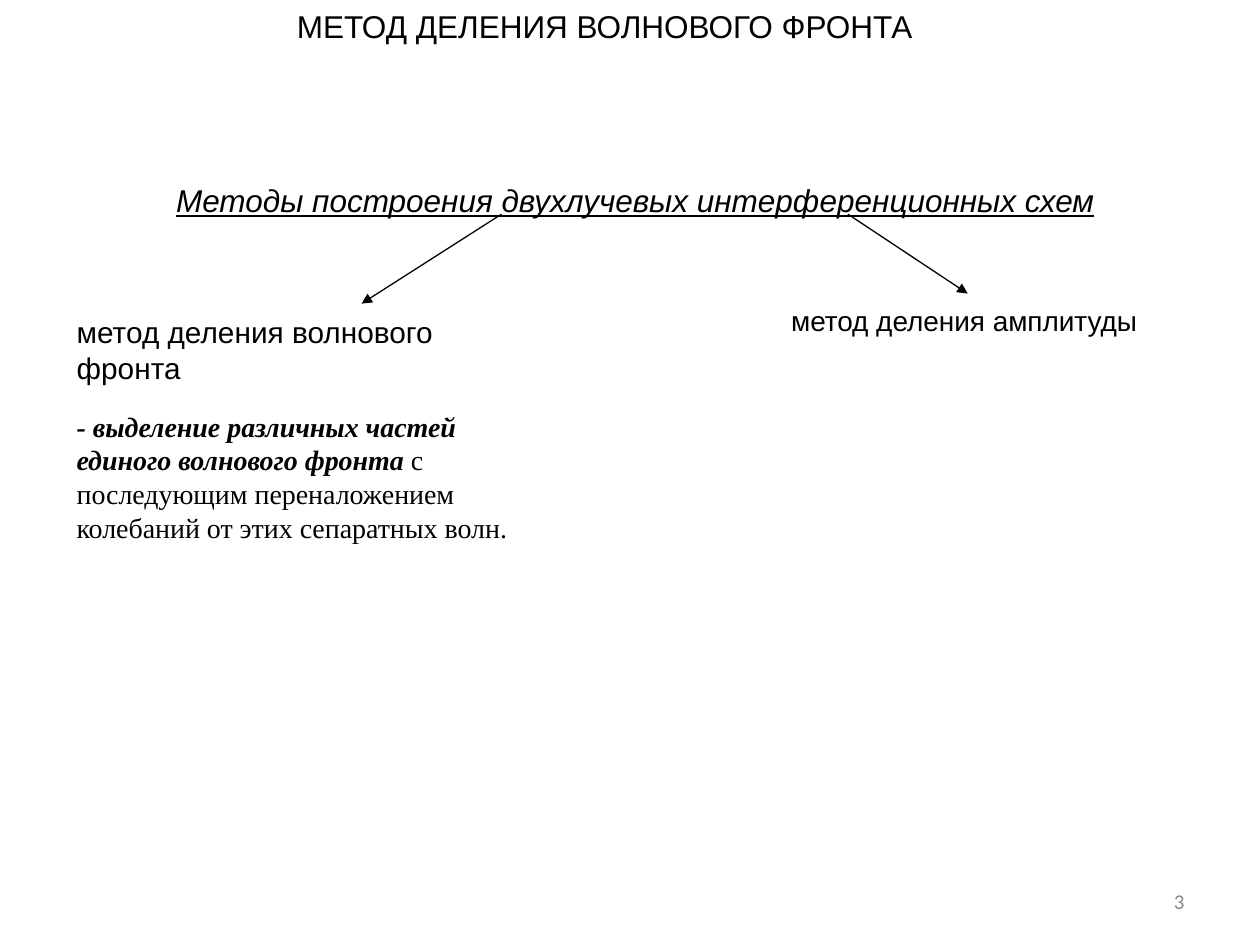
from lxml import etree
from pptx import Presentation
from pptx import util as u
from pptx.dml import color
from pptx.enum import shapes, text
from pptx.oxml import ns

BLACK, GRAY = "000000", "898989"
SANS, SERIF = "Arial", "Times New Roman"


def paint(target, hex_color):
    """Colour a font or a line."""
    target.fill.solid()
    target.fill.fore_color.rgb = color.RGBColor.from_string(hex_color)


def fill_text(shape, runs, size, font=SANS, hex_color=BLACK,
              align=text.PP_ALIGN.LEFT, anchor=text.MSO_ANCHOR.TOP):
    """Write one paragraph; each run is (words, bold, italic, underline)."""
    frame = shape.text_frame
    frame.word_wrap = True
    frame.auto_size = text.MSO_AUTO_SIZE.NONE
    frame.vertical_anchor = anchor
    paragraph = frame.paragraphs[0]
    paragraph.alignment = align
    for words, bold, italic, underline in runs:
        run = paragraph.add_run()
        run.text = words
        run.font.name, run.font.size = font, u.Pt(size)
        run.font.bold, run.font.italic = bold, italic
        run.font.underline = underline
        paint(run.font, hex_color)


def plain(words):
    return [(words, False, False, False)]


def add_text(slide, box, runs, size, **style):
    shape = slide.shapes.add_textbox(*map(u.Inches, box))
    fill_text(shape, runs, size, **style)


def add_title(slide, box, words):
    title = slide.shapes.title
    title.left, title.top, title.width, title.height = map(u.Inches, box)
    fill_text(title, plain(words), 18, align=text.PP_ALIGN.CENTER,
              anchor=text.MSO_ANCHOR.MIDDLE)


def add_arrow(slide, start, end):
    arrow = slide.shapes.add_connector(
        shapes.MSO_CONNECTOR.STRAIGHT, *map(u.Inches, start + end))
    paint(arrow.line, BLACK)
    arrow.line.width = u.Pt(0.75)
    properties = arrow.element.spPr
    line = properties.find(ns.qn("a:ln"))
    etree.SubElement(line, ns.qn("a:tailEnd"), type="triangle")
    etree.SubElement(properties, ns.qn("a:effectLst"))


def add_methods(slide, box):
    """Heading with an arrow to each of the two methods."""
    left, top, width, height = box
    add_text(slide, (left + 0.79, top, 7.64, 0.4),
             [("Методы построения двухлучевых интерференционных схем",
               False, True, True)], 18)

    # Arrows from the heading
    arrow_top = top + 0.31
    add_arrow(slide, (left + 3.47, arrow_top), (left + 2.36, top + 1.02))
    add_arrow(slide, (left + 6.22, arrow_top), (left + 7.17, top + 0.94))

    # Amplitude method on the right
    add_text(slide, (left + width - 3.15, top + 0.97, 3.15, 0.37),
             plain("метод деления амплитуды"), 16)

    # Wavefront method and its definition on the left
    add_text(slide, (left, top + 1.05, 3.78, 0.67),
             plain("метод деления волнового фронта"), 17)
    add_text(slide, (left, top + height - 1.17, 3.86, 1.17), [
        ("- выделение различных частей единого волнового фронта",
         True, True, False),
        (" с последующим переналожением колебаний от этих сепаратных волн.",
         False, False, False)], 16, font=SERIF)


def add_page_number(slide, box, number):
    add_text(slide, box, plain(number), 12, font="Calibri", hex_color=GRAY,
             align=text.PP_ALIGN.RIGHT, anchor=text.MSO_ANCHOR.MIDDLE)


def main():
    presentation = Presentation()
    presentation.slide_width = u.Inches(10)
    presentation.slide_height = u.Inches(7.5)
    slide = presentation.slides.add_slide(presentation.slide_layouts[5])
    add_title(slide, (0.43, -0.03, 8.81, 0.47),
              "МЕТОД ДЕЛЕНИЯ ВОЛНОВОГО ФРОНТА ")
    add_methods(slide, (0.51, 1.39, 8.82, 2.98))
    add_page_number(slide, (7.17, 6.95, 2.33, 0.4), "3")
    presentation.save("out.pptx")


if __name__ == "__main__":
    main()
